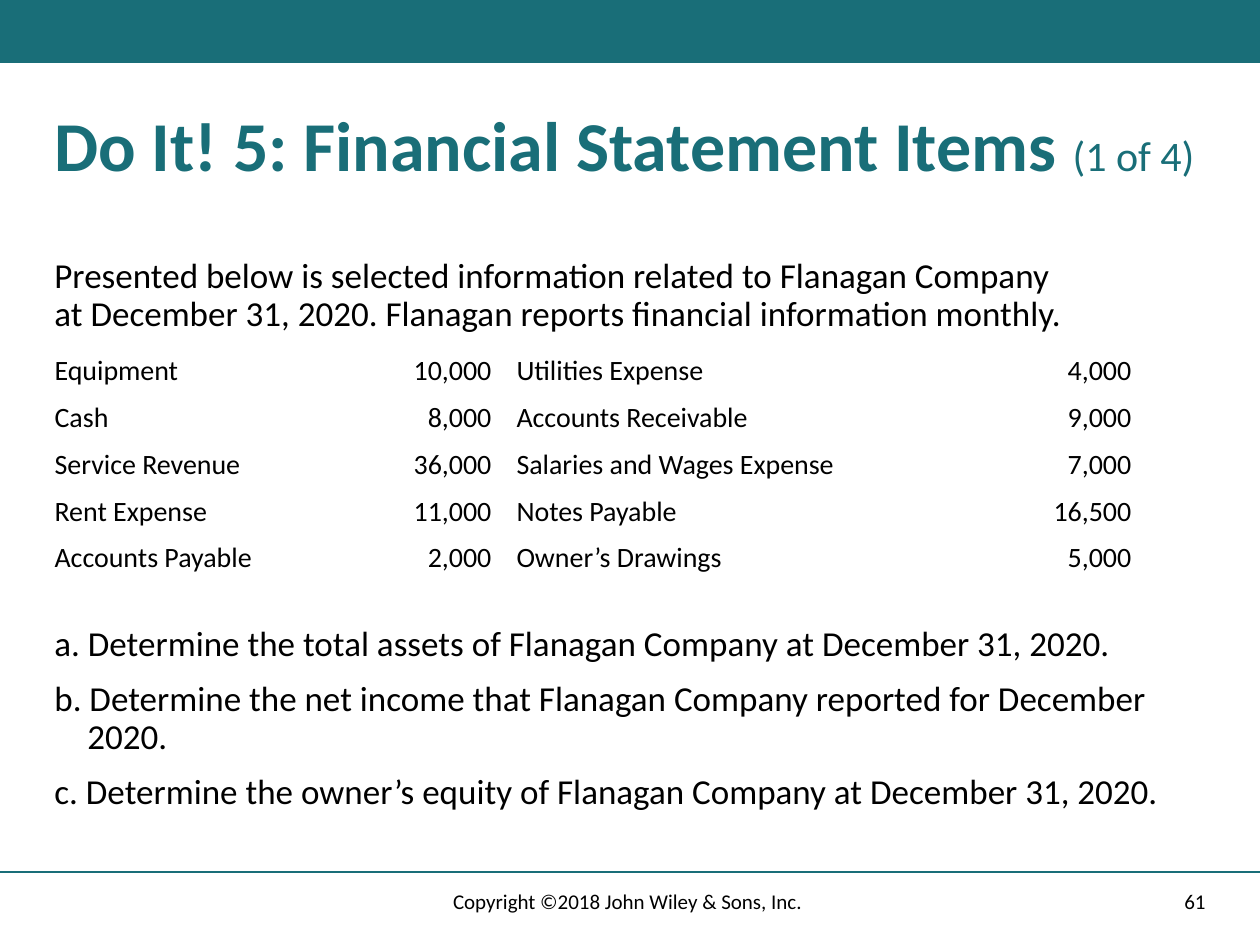
from lxml.etree import SubElement
from pptx import Presentation
from pptx.dml.color import RGBColor
from pptx.enum.shapes import MSO_CONNECTOR, MSO_SHAPE
from pptx.enum.text import MSO_ANCHOR, PP_ALIGN
from pptx.oxml.ns import qn
from pptx.util import Emu, Pt

PX_PER_INCH = 126
COLORS = {"teal": "196E78", "black": "000000", "white": "FFFFFF"}
FONT = "Calibri"
BODY = {"line_spacing": 0.9}
HANGING_INDENT = 33

ACCOUNTS = [
    ("Equipment", "10,000", "Utilities Expense", "4,000"),
    ("Cash", "8,000", "Accounts Receivable", "9,000"),
    ("Service Revenue", "36,000", "Salaries and Wages Expense", "7,000"),
    ("Rent Expense", "11,000", "Notes Payable", "16,500"),
    ("Accounts Payable", "2,000", "Owner’s Drawings", "5,000"),
]
COLUMN_WIDTHS = [294, 168, 420, 220]
ROW_HEIGHT = 47

QUESTIONS = [
    "a. Determine the total assets of Flanagan Company at December 31, 2020.",
    "b. Determine the net income that Flanagan Company reported for December 2020.",
    "c. Determine the owner’s equity of Flanagan Company at December 31, 2020.",
]


def px(length):
    return Emu(round(length * 914400 / PX_PER_INCH))


def color(name):
    return RGBColor.from_string(COLORS[name])


def set_attributes(target, values):
    for name, value in values.items():
        setattr(target, name, value)


def add_run(paragraph, text, size, color_name="black", bold=False):
    run = paragraph.add_run()
    run.text = text
    set_attributes(run.font, {"name": FONT, "size": Pt(size), "bold": bold})
    run.font.color.rgb = color(color_name)


def add_text(slide, box, paragraphs, paragraph_format, anchor=MSO_ANCHOR.TOP):
    """Each paragraph is a list of runs, each run the arguments of add_run."""
    frame = slide.shapes.add_textbox(*map(px, box)).text_frame
    set_attributes(frame, {"word_wrap": True, "vertical_anchor": anchor})
    for index, runs in enumerate(paragraphs):
        paragraph = frame.add_paragraph() if index else frame.paragraphs[0]
        set_attributes(paragraph, paragraph_format)
        if index:
            paragraph.space_before = Pt(10)
        for run in runs:
            add_run(paragraph, *run)
    return frame


def add_band(slide, box):
    band = slide.shapes.add_shape(MSO_SHAPE.RECTANGLE, *map(px, box))
    band.shadow.inherit = False
    band.fill.solid()
    band.fill.fore_color.rgb = color("teal")
    band.line.fill.background()


def add_rule(slide, top, width):
    rule = slide.shapes.add_connector(
        MSO_CONNECTOR.STRAIGHT, px(0), px(top), px(width), px(top))
    rule.line.color.rgb = color("teal")
    rule.line.width = Pt(1)
    SubElement(rule._element.spPr, qn("a:effectLst"))


def add_accounts_table(slide, left, top):
    table = slide.shapes.add_table(
        len(ACCOUNTS), len(COLUMN_WIDTHS), px(left), px(top),
        px(sum(COLUMN_WIDTHS)), px(ROW_HEIGHT * len(ACCOUNTS))).table
    set_attributes(table, {"first_row": False, "horz_banding": False})
    for column, width in zip(table.columns, COLUMN_WIDTHS):
        column.width = px(width)
    for row, values in zip(table.rows, ACCOUNTS):
        row.height = px(ROW_HEIGHT)
        for index, (cell, value) in enumerate(zip(row.cells, values)):
            cell.fill.solid()
            cell.fill.fore_color.rgb = color("white")
            cell.vertical_anchor = MSO_ANCHOR.MIDDLE
            paragraph = cell.text_frame.paragraphs[0]
            # Amounts stand in every second column
            paragraph.alignment = PP_ALIGN.RIGHT if index % 2 else PP_ALIGN.LEFT
            add_run(paragraph, value, 16)


def add_questions(slide, box):
    frame = add_text(slide, box, [[(text, 20)] for text in QUESTIONS], BODY)
    # The second question runs over two lines
    properties = frame.paragraphs[1]._p.get_or_add_pPr()
    properties.set("marL", str(px(HANGING_INDENT)))
    properties.set("indent", str(-px(HANGING_INDENT)))


def main():
    presentation = Presentation()
    presentation.slide_width, presentation.slide_height = px(1260), px(945)
    slide = presentation.slides.add_slide(presentation.slide_layouts[6])

    # Frame of the page
    add_band(slide, (0, 0, 1260, 63))
    add_rule(slide, 872, 1260)

    # Title
    add_text(slide, (42, 105, 1197, 105), [[
        ("Do It! 5: Financial Statement Items ", 40, "teal", True),
        ("(1 of 4)", 24, "teal"),
    ]], BODY)

    # Exercise
    add_text(slide, (42, 252, 1050, 83), [[
        ("Presented below is selected information related to Flanagan Company "
         "at December 31, 2020. Flanagan reports financial information monthly.", 20),
    ]], BODY)
    add_accounts_table(slide, 42, 347)
    add_questions(slide, (42, 620, 1134, 219))

    # Footer
    add_text(slide, (890, 876, 328, 50), [[("61", 12)]],
             {"alignment": PP_ALIGN.RIGHT}, MSO_ANCHOR.MIDDLE)
    add_text(slide, (417, 876, 426, 50),
             [[("Copyright ©2018 John Wiley & Sons, Inc. ", 12)]],
             {"alignment": PP_ALIGN.CENTER}, MSO_ANCHOR.MIDDLE)

    presentation.save("out.pptx")


if __name__ == "__main__":
    main()
